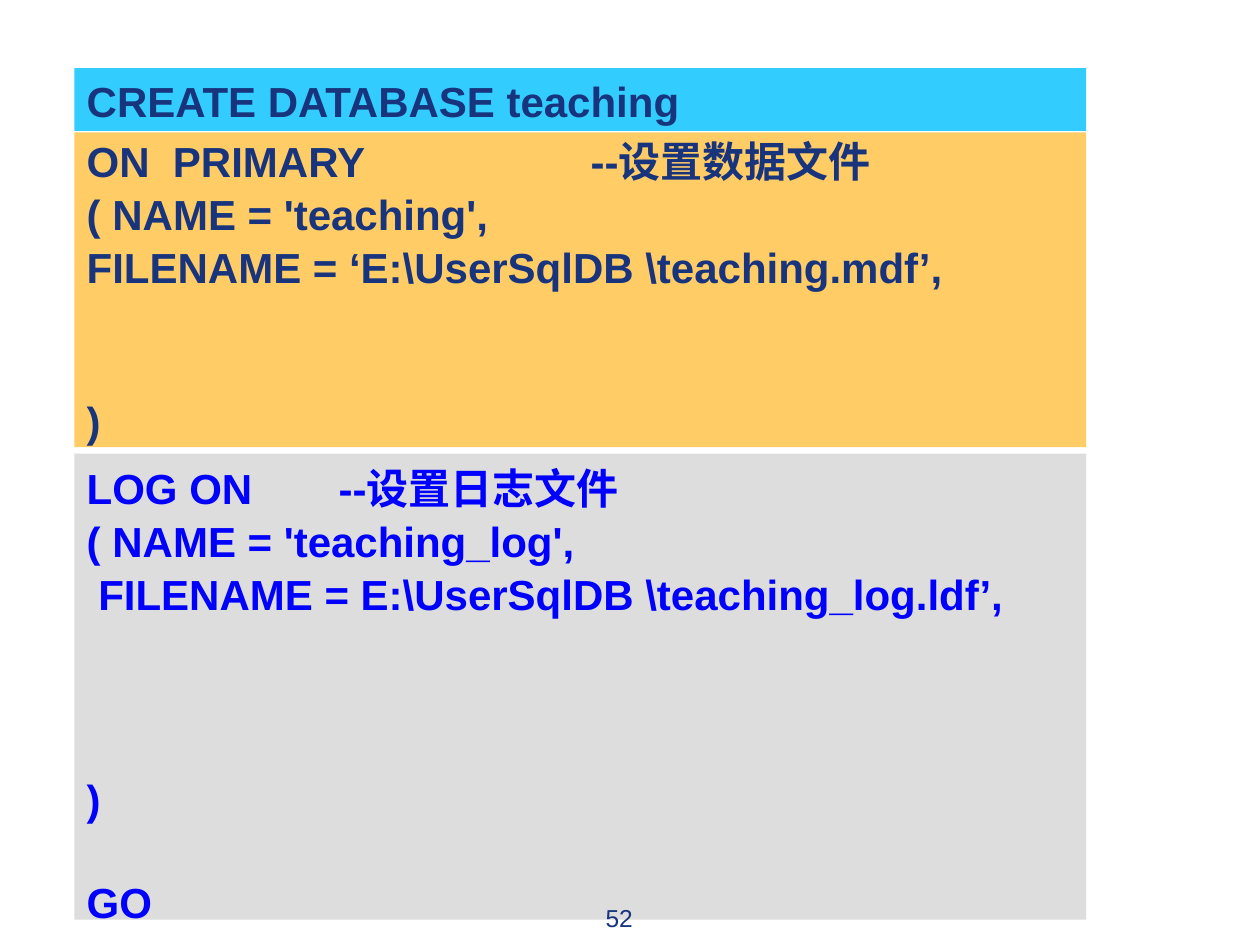
"""Build a slide showing the parts of a CREATE DATABASE statement."""
from dataclasses import dataclass

from pptx import Presentation
from pptx.dml.color import RGBColor
from pptx.enum.shapes import MSO_SHAPE
from pptx.enum.text import MSO_ANCHOR, PP_ALIGN
from pptx.oxml.ns import qn
from pptx.util import Inches, Pt


@dataclass(frozen=True)
class Theme:
    font: str = "Arial"
    navy: str = "17347D"
    blue: str = "0000FF"
    sky: str = "33CCFF"
    amber: str = "FFCC66"
    grey: str = "DDDDDD"
    code_size: int = 24
    number_size: int = 14
    line_pitch: int = 29
    line_spacing: float = 1.05


THEME = Theme()
LEFT, WIDTH = 0.59, 8.03

DATA_FILE = [
    ("ON  PRIMARY \t\t--设置数据文件", 0),
    ("( NAME = 'teaching',", 0),
    ("FILENAME = ‘E:\\UserSqlDB \\teaching.mdf’,", 0),
    (")", 2),
]
LOG_FILE = [
    ("LOG ON \t--设置日志文件", 0),
    ("( NAME = 'teaching_log',", 0),
    (" FILENAME = E:\\UserSqlDB \\teaching_log.ldf’,", 0),
    (")", 3),
    ("GO", 1),
]
BLOCKS = [
    dict(lines=DATA_FILE, top=1.05, height=2.5, fill=THEME.amber,
         color=THEME.navy, anchor=MSO_ANCHOR.MIDDLE),
    dict(lines=LOG_FILE, top=3.6, height=3.7, fill=THEME.grey,
         color=THEME.blue, anchor=MSO_ANCHOR.TOP),
    dict(lines=[("CREATE DATABASE teaching", 0)], top=0.54, height=0.5,
         fill=THEME.sky, color=THEME.navy, anchor=MSO_ANCHOR.MIDDLE),
]
PAGE_NUMBER = "52"


def add_tab_stops(paragraph):
    properties = paragraph._p.get_or_add_pPr()
    tab_list = properties.makeelement(qn("a:tabLst"), {})
    properties.append(tab_list)
    for inch in range(1, 8):
        position = str(Inches(inch))
        tab_list.append(tab_list.makeelement(qn("a:tab"), {"pos": position, "algn": "l"}))


def write_line(paragraph, text, *, size, color, bold=False,
               align=PP_ALIGN.LEFT, skipped=0, spacing=1.0):
    add_tab_stops(paragraph)
    paragraph.alignment = align
    paragraph.line_spacing = spacing
    paragraph.space_before = Pt(skipped * THEME.line_pitch)
    run = paragraph.add_run()
    run.text = text
    run.font.name = THEME.font
    run.font.size = Pt(size)
    run.font.bold = bold
    run.font.color.rgb = RGBColor.from_string(color)


def add_block(slide, lines, top, height, fill, color, anchor):
    shape = slide.shapes.add_shape(
        MSO_SHAPE.RECTANGLE, Inches(LEFT), Inches(top), Inches(WIDTH), Inches(height))
    shape.shadow.inherit = False
    shape.fill.solid()
    shape.fill.fore_color.rgb = RGBColor.from_string(fill)
    shape.line.fill.background()
    frame = shape.text_frame
    frame.word_wrap = True
    frame.vertical_anchor = anchor
    for index, (text, skipped) in enumerate(lines):
        paragraph = frame.add_paragraph() if index else frame.paragraphs[0]
        write_line(paragraph, text, size=THEME.code_size, color=color, bold=True,
                   skipped=skipped, spacing=THEME.line_spacing)


def add_page_number(slide):
    box = slide.shapes.add_textbox(Inches(3.75), Inches(7.12), Inches(2.33), Inches(0.34))
    box.text_frame.word_wrap = True
    write_line(box.text_frame.paragraphs[0], PAGE_NUMBER, size=THEME.number_size,
               color=THEME.navy, align=PP_ALIGN.CENTER)


def main():
    presentation = Presentation()
    presentation.slide_width, presentation.slide_height = Inches(10), Inches(7.5)
    slide = presentation.slides.add_slide(presentation.slide_layouts[6])
    for block in BLOCKS:
        add_block(slide, **block)
    add_page_number(slide)
    presentation.save("out.pptx")


if __name__ == "__main__":
    main()
